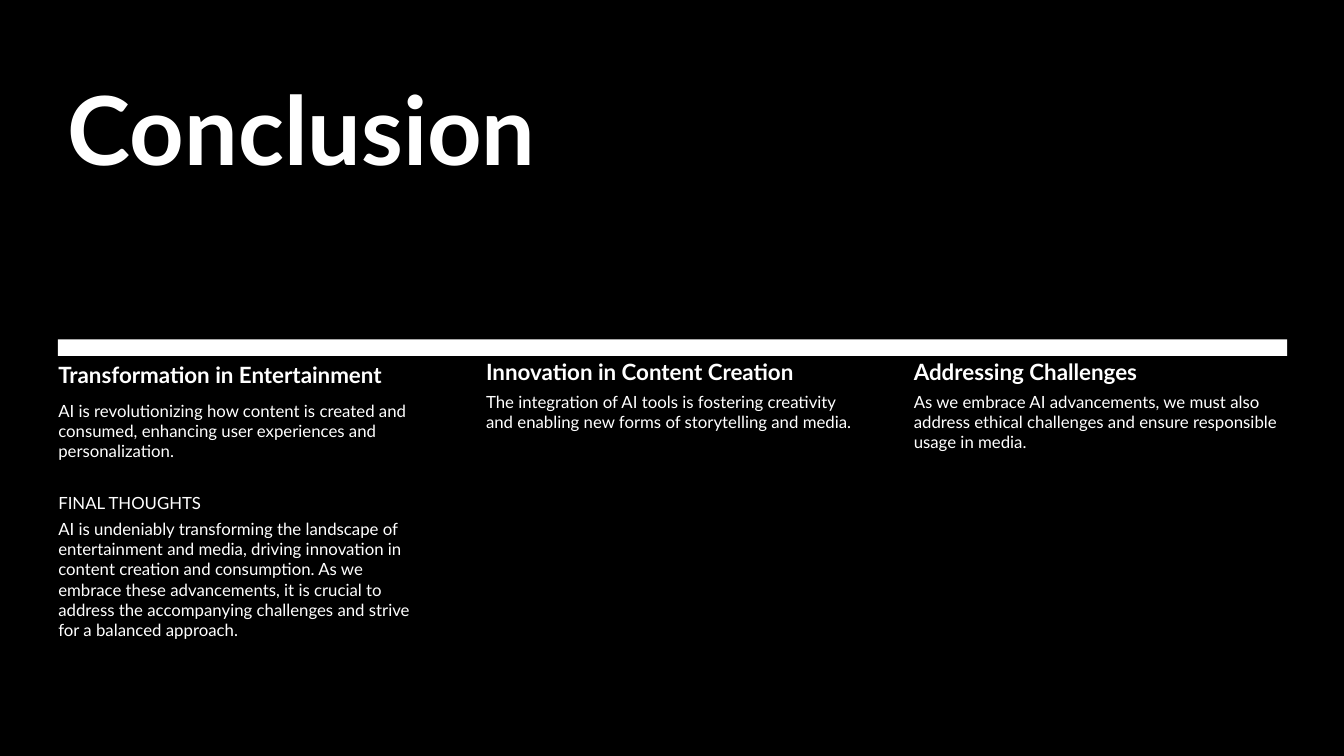
from dataclasses import dataclass

from pptx import Presentation
from pptx.dml.color import RGBColor
from pptx.enum.shapes import MSO_SHAPE as Shape
from pptx.enum.text import MSO_ANCHOR as Anchor
from pptx.slide import Slide
from pptx.text.text import TextFrame
from pptx.util import Cm, Pt

Box = tuple[float, float, float, float]

BLACK, WHITE = "000000", "FFFFFF"
WIDE, HIGH = 33.87, 19.05
LEFT, STEP, WIDTH = 1.09, 10.78, 9.8
EDGE, SPAN = 1.46, 30.98
GAP = 4.2


@dataclass
class Column:
    head: str
    body: list[str]
    top: float = 8.97
    start: float = 9.81
    depth: float = 6.68


COLUMNS = [
    Column(
        "Transformation in Entertainment",
        [
            "AI is revolutionizing how content is created and consumed, "
            "enhancing user experiences and personalization.",
            "FINAL THOUGHTS",
            "AI is undeniably transforming the landscape of entertainment and media, "
            "driving innovation in content creation and consumption. As we embrace "
            "these advancements, it is crucial to address the accompanying challenges "
            "and strive for a balanced approach.",
        ],
        9.04, 10.04, 6.38,
    ),
    Column(
        "Innovation in Content Creation",
        ["The integration of AI tools is fostering creativity and enabling "
         "new forms of storytelling and media."],
    ),
    Column(
        "Addressing Challenges",
        ["As we embrace AI advancements, we must also address ethical challenges "
         "and ensure responsible usage in media."],
    ),
]


def color(code: str) -> RGBColor:
    return RGBColor.from_string(code)


def add_block(slide: Slide, at: Box, code: str) -> None:
    block = slide.shapes.add_shape(Shape.RECTANGLE, *map(Cm, at))
    block.shadow.inherit = False
    block.fill.solid()
    block.fill.fore_color.rgb = color(code)
    block.line.fill.background()


def add_text(slide: Slide, at: Box, lines: list[str],
             size: float, bold: bool = False) -> TextFrame:
    frame = slide.shapes.add_textbox(*map(Cm, at)).text_frame
    frame.word_wrap = True
    frame.text = "\n".join(lines)
    for para in frame.paragraphs:
        para.space_after = Pt(GAP)
        for run in para.runs:
            font = run.font
            font.name, font.size, font.bold = "Lato", Pt(size), bold
            font.color.rgb = color(WHITE)
    return frame


def inset(frame: TextFrame) -> None:
    frame.margin_left = Cm(0.38)
    frame.margin_right = frame.margin_top = frame.margin_bottom = Cm(0.05)


def add_column(slide: Slide, left: float, col: Column) -> None:
    head = add_text(slide, (left, col.top, WIDTH, 0.84), [col.head], 16, True)
    body = add_text(slide, (left, col.start, WIDTH, col.depth), col.body, 12)
    inset(head)
    inset(body)
    for para in body.paragraphs[1:2]:
        para.space_before = Pt(18.6)


def main() -> None:
    deck = Presentation()
    deck.slide_width, deck.slide_height = Cm(WIDE), Cm(HIGH)
    slide = deck.slides.add_slide(deck.slide_layouts[6])
    back = slide.background.fill
    back.solid()
    back.fore_color.rgb = color(BLACK)

    add_block(slide, (0, 0, WIDE, HIGH), BLACK)
    add_block(slide, (EDGE, 8.55, SPAN, 0.42), WHITE)

    title = add_text(slide, (EDGE, 0.86, SPAN, 3.91), ["Conclusion"], 68, True)
    title.vertical_anchor = Anchor.BOTTOM
    title.paragraphs[0].space_after = Pt(0)

    for place, col in enumerate(COLUMNS):
        add_column(slide, LEFT + place * STEP, col)
    deck.save("out.pptx")


if __name__ == "__main__":
    main()
